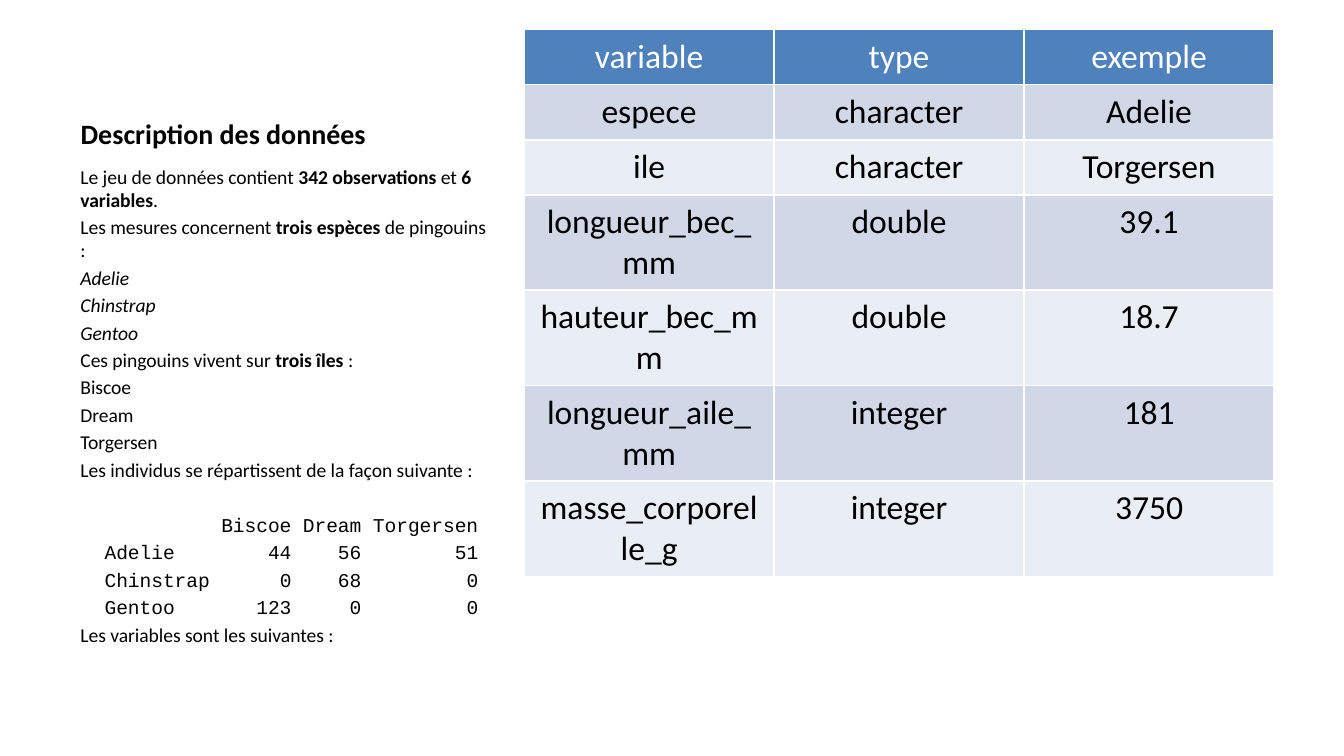
import pptx
import pptx.dml.color
import pptx.enum.text
import pptx.oxml
import pptx.oxml.ns
import pptx.util

Inches = pptx.util.Inches
Pt = pptx.util.Pt
RGBColor = pptx.dml.color.RGBColor
ALIGN = pptx.enum.text.PP_ALIGN
ANCHOR = pptx.enum.text.MSO_ANCHOR

BLACK = RGBColor(0x00, 0x00, 0x00)
WHITE = RGBColor(0xFF, 0xFF, 0xFF)
BLUE = RGBColor(0x4F, 0x81, 0xBD)
BANDS = [RGBColor(0xE9, 0xED, 0xF4), RGBColor(0xD0, 0xD8, 0xE8)]

WIDE = 10
LEFT = 0.5
TOP = 0.22
WIDTH = 3.29
LINE = 12.3
GAP = 2.4

# Each paragraph is a list of (text, format) runs.
BOLD = {"bold": True}
ITALIC = {"italic": True}
INTRO = [
    [("Le jeu de données contient ", {}), ("342 observations", BOLD),
     (" et ", {}), ("6 variables", BOLD), (".", {})],
    [("Les mesures concernent ", {}), ("trois espèces", BOLD),
     (" de pingouins :", {})],
    [("Adelie", ITALIC)],
    [("Chinstrap", ITALIC)],
    [("Gentoo", ITALIC)],
    [("Ces pingouins vivent sur ", {}), ("trois îles", BOLD), (" :", {})],
    [("Biscoe", {})],
    [("Dream", {})],
    [("Torgersen", {})],
    [("Les individus se répartissent de la façon suivante :", {})],
]
COUNTS = [
    ("", "Biscoe", "Dream", "Torgersen"),
    ("Adelie", "44", "56", "51"),
    ("Chinstrap", "0", "68", "0"),
    ("Gentoo", "123", "0", "0"),
]
STOPS = [(0.18, "l"), (1.57, "r"), (2.09, "r"), (2.96, "r")]

VARS = [
    ("variable", "type", "exemple"),
    ("espece", "character", "Adelie"),
    ("ile", "character", "Torgersen"),
    ("longueur_bec_mm", "double", "39.1"),
    ("hauteur_bec_mm", "double", "18.7"),
    ("longueur_aile_mm", "integer", "181"),
    ("masse_corporelle_g", "integer", "3750"),
]
SHORT = 0.41
TALL = 0.71


def add_text(para, text, size=10.5, font="Calibri", color=BLACK,
             bold=False, italic=False):
    run = para.add_run()
    run.text = text
    run.font.size = Pt(size)
    run.font.name = font
    run.font.color.rgb = color
    run.font.bold = bold
    run.font.italic = italic


def add_line(frame, runs, before=GAP):
    """Add a paragraph, using the empty first one if it is still free."""
    para = frame.paragraphs[0]
    if para.runs:
        para = frame.add_paragraph()
    para.alignment = ALIGN.LEFT
    para.line_spacing = Pt(LINE)
    para.space_before = Pt(before)
    for text, style in runs:
        add_text(para, text, **style)
    return para


def set_tabs(para):
    props = para._p.get_or_add_pPr()
    tabs = pptx.oxml.parse_xml(
        "<a:tabLst %s/>" % pptx.oxml.ns.nsdecls("a"))
    for place, side in STOPS:
        tab = tabs.makeelement(pptx.oxml.ns.qn("a:tab"),
                               {"pos": str(Inches(place)), "algn": side})
        tabs.append(tab)
    props.append(tabs)


def add_title(slide):
    title = slide.shapes.title
    title.left, title.top = Inches(LEFT), Inches(TOP)
    title.width, title.height = Inches(WIDTH), Inches(0.95)
    frame = title.text_frame
    frame.vertical_anchor = ANCHOR.BOTTOM
    para = frame.paragraphs[0]
    para.alignment = ALIGN.LEFT
    add_text(para, "Description des données", size=15, bold=True)


def add_body(slide):
    box = slide.shapes.add_textbox(Inches(LEFT), Inches(1.18),
                                   Inches(WIDTH), Inches(3.85))
    frame = box.text_frame
    frame.word_wrap = True
    frame.margin_right = Inches(0.15)
    for runs in INTRO:
        add_line(frame, runs)
    for index, row in enumerate(COUNTS):
        before = GAP if index else 2 * GAP + LINE
        text = "".join("\t" + item for item in row)
        para = add_line(frame, [(text, {"font": "Courier New"})], before)
        set_tabs(para)
    add_line(frame, [("Les variables sont les suivantes :", {})])


def add_table(slide):
    heights = [SHORT] * 3 + [TALL] * 4
    table = slide.shapes.add_table(
        len(VARS), 3, Inches(3.9), Inches(TOP),
        Inches(5.58), Inches(sum(heights))).table
    for index, (row, height) in enumerate(zip(VARS, heights)):
        table.rows[index].height = Inches(height)
        for col, text in enumerate(row):
            cell = table.cell(index, col)
            cell.fill.solid()
            cell.fill.fore_color.rgb = BANDS[index % 2] if index else BLUE
            para = cell.text_frame.paragraphs[0]
            para.alignment = ALIGN.CENTER
            add_text(para, text, size=18, color=BLACK if index else WHITE)


def main():
    deck = pptx.Presentation()
    deck.slide_width = Inches(WIDE)
    deck.slide_height = Inches(WIDE * 9 / 16)
    slide = deck.slides.add_slide(deck.slide_layouts[5])
    add_title(slide)
    add_body(slide)
    add_table(slide)
    deck.save("out.pptx")


if __name__ == "__main__":
    main()
